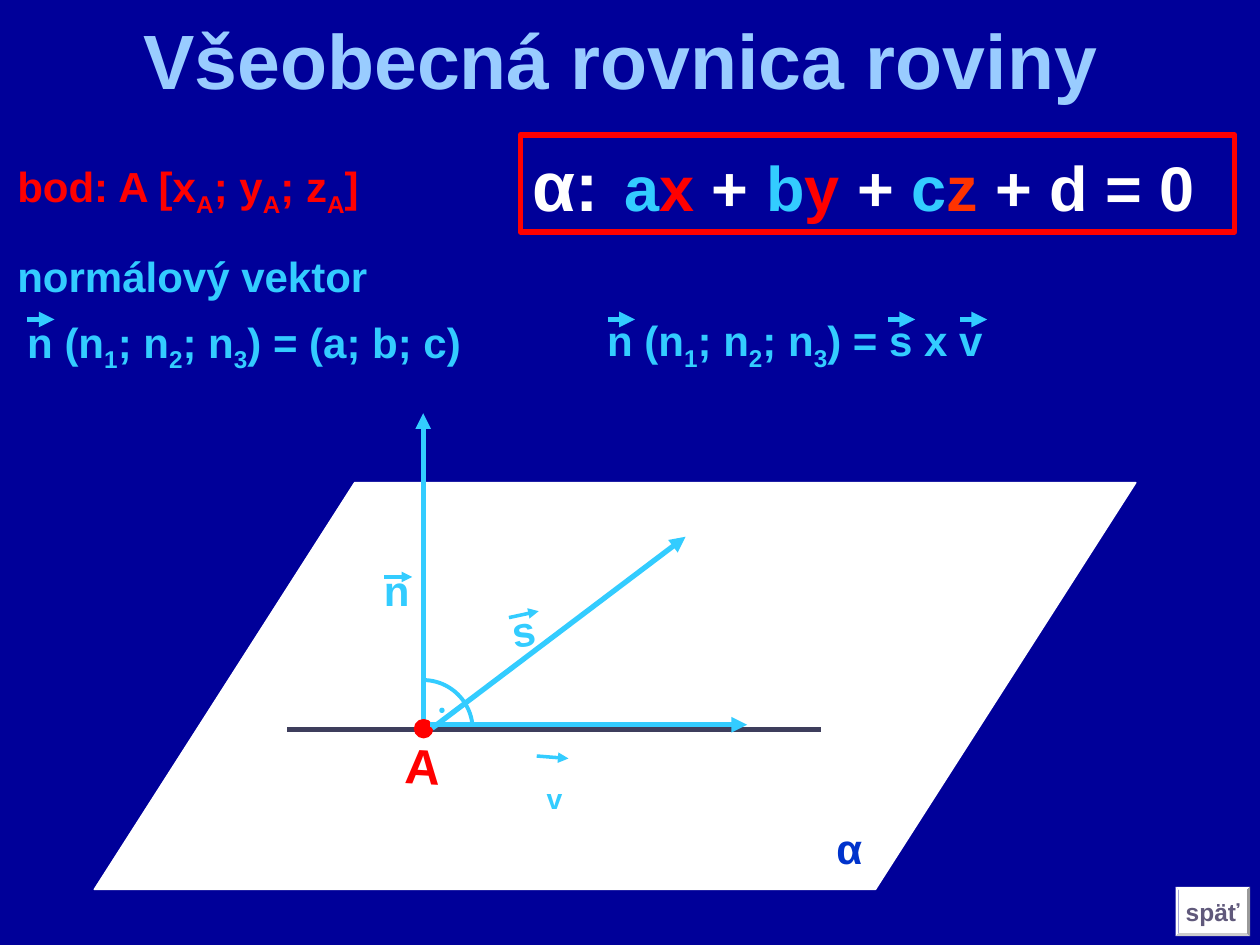
"""Build a slide on the general equation of a plane with its normal vector."""
from dataclasses import dataclass

from lxml.etree import SubElement
from pptx import Presentation
from pptx.dml.color import RGBColor as Rgb
from pptx.enum.shapes import MSO_CONNECTOR as Connector, MSO_SHAPE as Shape
from pptx.enum.text import MSO_ANCHOR as Anchor, PP_ALIGN as Align
from pptx.oxml.ns import qn
from pptx.util import Cm, Pt


@dataclass(frozen=True)
class Theme:
    font: str = "Arial"
    background: Rgb = Rgb(0, 0, 0x99)
    title: Rgb = Rgb(0x99, 0xCC, 0xFF)
    vector: Rgb = Rgb(0x33, 0xCC, 0xFF)
    point: Rgb = Rgb(0xFF, 0, 0)
    orange: Rgb = Rgb(0xFF, 0x33, 0)
    white: Rgb = Rgb(0xFF, 0xFF, 0xFF)
    plane_name: Rgb = Rgb(0, 0x33, 0xCC)
    baseline: Rgb = Rgb(0x3E, 0x3E, 0x5C)
    button: Rgb = Rgb(0x60, 0x59, 0x7B)
    title_size: int = 44
    symbol_size: int = 40
    formula_size: int = 36
    point_size: int = 28
    body_size: int = 24
    button_size: int = 14


theme = Theme()


def write_runs(shape, runs, **frame_format):
    """Write (text, colour, size) runs; text between underscores is subscript."""
    frame = shape.text_frame
    for name, value in {"word_wrap": True, "vertical_anchor": Anchor.TOP, **frame_format}.items():
        setattr(frame, name, value)
    paragraph = frame.paragraphs[0]
    paragraph.alignment = Align.LEFT
    for text, colour, size in runs:
        for index, piece in enumerate(text.split("_")):
            if not piece:
                continue
            run = paragraph.add_run()
            run.text = piece
            for name, value in {"name": theme.font, "size": Pt(size), "bold": True}.items():
                setattr(run.font, name, value)
            run.font.color.rgb = colour
            if index % 2:
                run.font._element.set("baseline", "-25000")
    return paragraph


def add_line(start, end, width, colour=theme.vector, arrow=True):
    """Draw a straight line, with an arrowhead at its end if asked."""
    line = slide.shapes.add_connector(Connector.STRAIGHT, *map(Cm, start + end))
    line.line.color.rgb = colour
    line.line.width = Pt(width)
    if arrow:
        SubElement(line.line._get_or_add_ln(), qn("a:tailEnd"), type="triangle")
    SubElement(line._element.spPr, qn("a:effectLst"))


presentation = Presentation()
presentation.slide_width = Cm(25.4)
presentation.slide_height = Cm(19.05)
slide = presentation.slides.add_slide(presentation.slide_layouts[5])
slide.background.fill.solid()
slide.background.fill.fore_color.rgb = theme.background

title = slide.shapes.title
for name, value in {"left": 1.09, "top": 0, "width": 22.86, "height": 2.36}.items():
    setattr(title, name, Cm(value))
title_runs = [("Všeobecná rovnica roviny", theme.title, theme.title_size)]
write_runs(title, title_runs, vertical_anchor=Anchor.MIDDLE).alignment = Align.CENTER

shapes = {}
for name, kind, box, fill, line, width in [
    ("button", Shape.BEVEL, (23.7, 17.88, 1.5, 0.99), theme.white, None, 0),
    ("plane", Shape.PARALLELOGRAM, (1.9, 9.73, 21, 8.2), theme.white, theme.white, 0.75),
    ("right angle", Shape.ARC, (7.53, 13.71, 2, 2), None, theme.vector, 2.25),
    ("angle dot", Shape.OVAL, (8.87, 14.28, 0.08, 0.08), theme.vector, theme.vector, 0.75),
    ("formula", Shape.RECTANGLE, (10.49, 2.72, 14.4, 1.96), None, theme.point, 3),
]:
    shape = slide.shapes.add_shape(kind, *map(Cm, box))
    shape.shadow.inherit = False
    if fill is None:
        shape.fill.background()
    else:
        shape.fill.solid()
        shape.fill.fore_color.rgb = fill
    if line is None:
        shape.line.fill.background()
    else:
        shape.line.color.rgb = line
        shape.line.width = Pt(width)
    shapes[name] = shape
shapes["plane"].adjustments[0] = 0.64
shapes["button"].adjustments[0] = 0.06

button_runs = [("späť", theme.button, theme.button_size)]
write_runs(shapes["button"], button_runs, word_wrap=False,
           vertical_anchor=Anchor.MIDDLE).alignment = Align.CENTER

formula_runs = [("α:\t", theme.white, theme.symbol_size)] + [
    (text, colour, theme.formula_size)
    for text, colour in [
        ("a", theme.vector), ("x", theme.point), (" + ", theme.white),
        ("b", theme.vector), ("y", theme.point), (" + ", theme.white),
        ("c", theme.vector), ("z", theme.orange), (" + d = 0", theme.white),
    ]
]
formula = write_runs(shapes["formula"], formula_runs)
tab_stops = SubElement(formula._p.get_or_add_pPr(), qn("a:tabLst"))
SubElement(tab_stops, qn("a:tab"), pos=str(Cm(1.85)), algn="l")

add_line((5.79, 14.71), (16.56, 14.71), 3, theme.baseline, arrow=False)
add_line((8.53, 14.73), (8.53, 8.33), 3)

point = slide.shapes.add_shape(Shape.OVAL, Cm(8.38), Cm(14.53), Cm(0.32), Cm(0.32))
point.shadow.inherit = False
point.fill.solid()
point.fill.fore_color.rgb = point.line.color.rgb = theme.point
point.line.width = Pt(2)

for start, end, width in [
    ((8.71, 14.68), (13.82, 10.82), 3),
    ((8.66, 14.61), (15.06, 14.61), 3),
    ((7.75, 11.63), (8.31, 11.63), 2),
    ((10.26, 12.45), (10.86, 12.32), 2),
    ((10.82, 15.24), (11.46, 15.29), 2),
]:
    add_line(start, end, width)
for left in (0.55, 12.25, 17.9, 19.35):
    add_line((left, 6.44), (left + 0.55, 6.44), 3)

normal = "n (n_1_; n_2_; n_3_) = "
for text, box, colour, size, rotation in [
    ("bod: A [x_A_; y_A_; z_A_]", (0.1, 3.12, 7.8, 1.42), theme.point, theme.body_size, 0),
    ("normálový vektor", (0.1, 4.93, 8, 1.27), theme.vector, theme.body_size, 0),
    (normal + "(a; b; c)", (0.3, 6.25, 9.4, 1.42), theme.vector, theme.body_size, 0),
    (normal + "s x v", (11.99, 6.22, 9.4, 1.42), theme.vector, theme.body_size, 0),
    ("n", (7.49, 11.25, 1.4, 1.27), theme.vector, theme.body_size, 0),
    ("s", (10.06, 12.04, 1.4, 1.27), theme.vector, theme.body_size, -8.3),
    ("_v_", (10.77, 14.96, 1.4, 1.6), theme.vector, theme.point_size, 0),
    ("A", (7.92, 14.73, 2.01, 1.45), theme.point, theme.point_size, 3.1),
    ("α", (16.61, 16.46, 1.27, 1.27), theme.plane_name, theme.body_size, 0),
]:
    label = slide.shapes.add_textbox(*map(Cm, box))
    label.rotation = rotation
    write_runs(label, [(text, colour, size)])

presentation.save("out.pptx")
